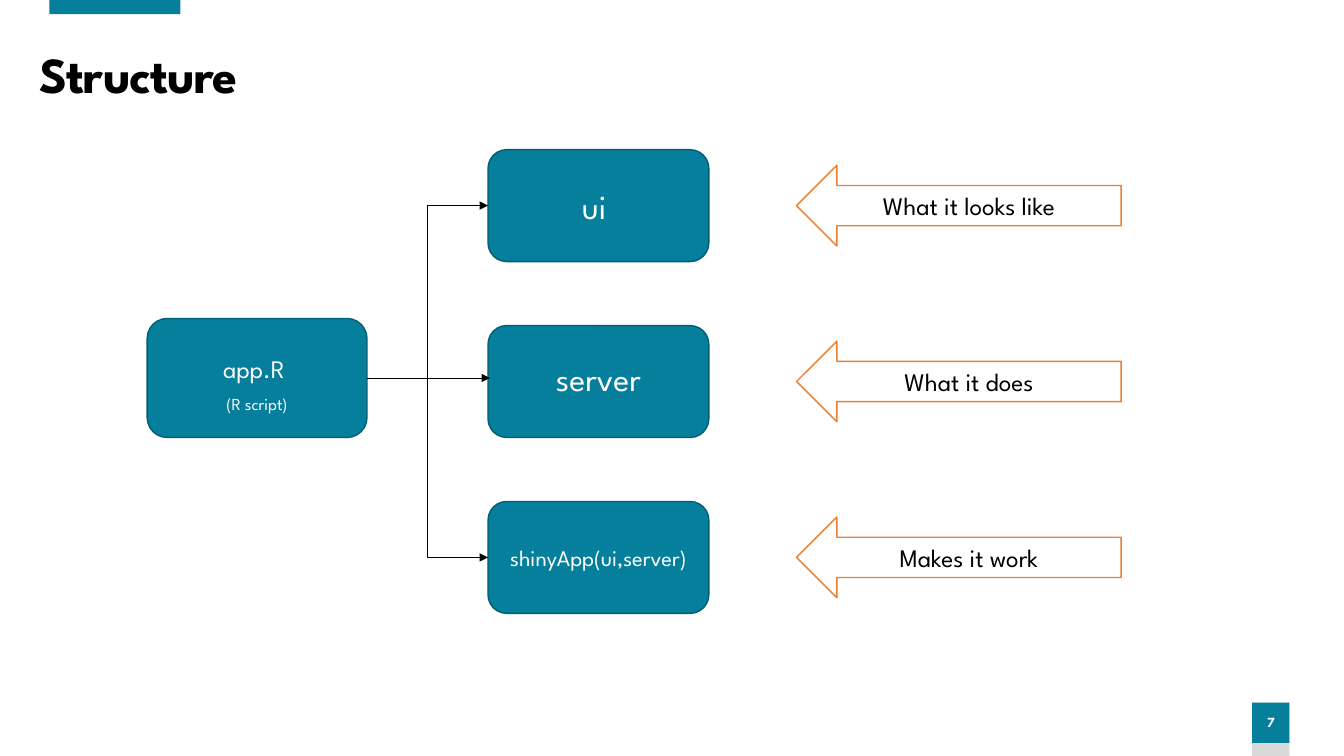
from lxml import etree
from pptx import Presentation
from pptx import util as u
from pptx.dml.color import RGBColor
from pptx.enum import shapes, text
from pptx.oxml.ns import qn

FONT = "League Spartan"
TEAL, EDGE, ORANGE = "067F9C", "045E73", "ED7D31"
BLACK, WHITE, GREY = "000000", "FFFFFF", "D9D9D9"
TITLE = "Structure"
PAGE = "7"
SCRIPT = [("app.R ", 18), ("(R script)", 12)]
# part, text size, bottom inset, meaning
PARTS = [
    ("ui ", 24, 0.05, "What it looks like"),
    ("server", 24, 0.12, "What it does"),
    ("shinyApp(ui,server)", 16, 0.05, "Makes it work"),
]
FIRST_MIDDLE, ROW_PITCH = 2.04, 1.745
PART_LEFT, PART_W, PART_H = 4.84, 2.19, 1.11
ARROW_LEFT, ARROW_W, ARROW_H = 7.9, 3.22, 0.8
SCRIPT_BOX = (1.46, 3.16, 2.18, 1.18)

KIND = shapes.MSO_SHAPE
LINK = shapes.MSO_CONNECTOR
TOP, MIDDLE = text.MSO_ANCHOR.TOP, text.MSO_ANCHOR.MIDDLE
CENTER, LEFT = text.PP_ALIGN.CENTER, text.PP_ALIGN.LEFT

prs = Presentation()
prs.slide_width, prs.slide_height = u.Inches(13.33), u.Inches(7.5)
s = prs.slides.add_slide(prs.slide_layouts[6])


def color(value):
    return RGBColor.from_string(value)


def add_box(kind, place, fill, line=None):
    sp = s.shapes.add_shape(kind, *map(u.Inches, place))
    sp.shadow.inherit = False
    sp.fill.solid()
    sp.fill.fore_color.rgb = color(fill)
    if line:
        sp.line.color.rgb = color(line)
        sp.line.width = u.Pt(1)
    else:
        sp.line.fill.background()
    return sp


def write(sp, lines, ink=WHITE, bold=False, anchor=MIDDLE, align=CENTER,
          spacing=1, insets=(0.1, 0.05, 0.1, 0.05)):
    """Fill a shape with (text, size) lines; insets run left, top, right, bottom."""
    tf = sp.text_frame
    tf.word_wrap = True
    tf.vertical_anchor = anchor
    (tf.margin_left, tf.margin_top,
     tf.margin_right, tf.margin_bottom) = map(u.Inches, insets)
    tf.text = "\n".join(words for words, size in lines)
    for p, (words, size) in zip(tf.paragraphs, lines):
        p.alignment = align
        p.line_spacing = spacing
        font = p.runs[0].font
        font.name, font.size, font.bold = FONT, u.Pt(size), bold
        font.color.rgb = color(ink)


def add_link(kind, start, x, y):
    """Draw an arrow from the right side of start to a point."""
    cn = s.shapes.add_connector(kind, start.left + start.width,
                                start.top + start.height // 2,
                                u.Inches(x), u.Inches(y))
    cn.begin_connect(start, 3)
    cn.line.color.rgb = color(BLACK)
    cn.line.width = u.Pt(0.5)
    etree.SubElement(cn.line._get_or_add_ln(), qn("a:tailEnd"), type="triangle")
    etree.SubElement(cn._element.spPr, qn("a:effectLst"))
    return cn


# Frame: accent bar, page number, title
add_box(KIND.RECTANGLE, (12.42, 6.97, 0.37, 0.53), GREY)
page = add_box(KIND.RECTANGLE, (12.42, 6.97, 0.37, 0.4), TEAL)
write(page, [(PAGE, 10)], bold=True, spacing=0.9, insets=(0, 0.05, 0, 0.05))
add_box(KIND.RECTANGLE, (0.49, 0, 1.3, 0.14), TEAL)
title = s.shapes.add_textbox(*map(u.Inches, (0.29, 0.44, 12.22, 0.65)))
write(title, [(TITLE, 36)], BLACK, bold=True, align=LEFT, spacing=0.9)
title.text_frame.paragraphs[0].runs[0].font._element.set("spc", "-60")

# Diagram: script, its parts, what each part means
script = add_box(KIND.ROUNDED_RECTANGLE, SCRIPT_BOX, TEAL, EDGE)
write(script, SCRIPT, anchor=TOP, spacing=1.5, insets=(0.1, 0.14, 0.1, 0.05))
for row, (name, size, bottom, meaning) in enumerate(PARTS):
    middle = FIRST_MIDDLE + row * ROW_PITCH
    part = add_box(KIND.ROUNDED_RECTANGLE,
                   (PART_LEFT, middle - PART_H / 2, PART_W, PART_H), TEAL, EDGE)
    write(part, [(name, size)], insets=(0.1, 0.05, 0.1, bottom))
    arrow = add_box(KIND.LEFT_ARROW,
                    (ARROW_LEFT, middle - ARROW_H / 2, ARROW_W, ARROW_H),
                    WHITE, ORANGE)
    write(arrow, [(meaning, 18)], BLACK, anchor=TOP)
    if row == 1:
        add_link(LINK.STRAIGHT, script, PART_LEFT + 0.02, 3.75)
    else:
        add_link(LINK.ELBOW, script, PART_LEFT, middle).end_connect(part, 1)

prs.save("out.pptx")
